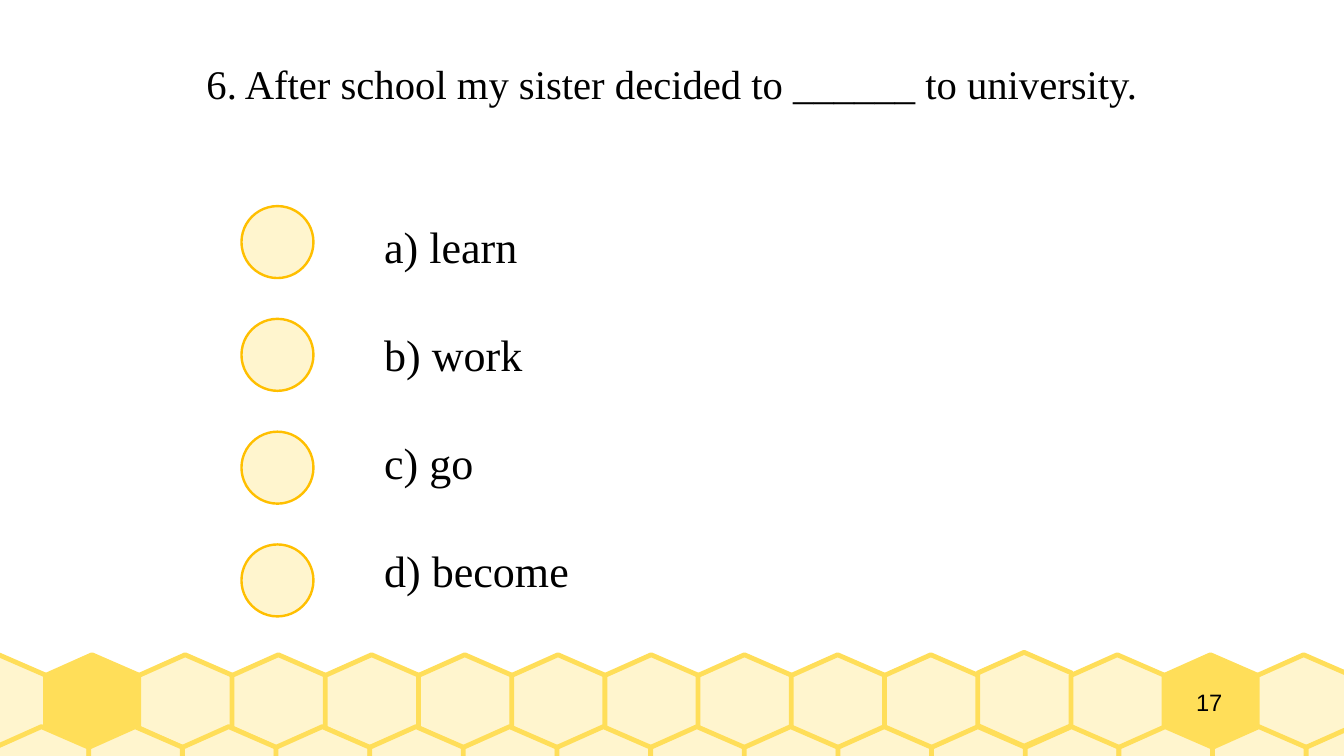
from pptx import Presentation
from pptx.dml.color import RGBColor
from pptx.enum import shapes, text
from pptx.util import Inches, Pt

PALE, GOLD, AMBER, BLACK = "FFF5CE", "FFDE59", "FFBF00", "000000"
HEXAGON = [(0.38, 0), (0, 0.17), (0, 0.6), (0.38, 0.77), (0.77, 0.6), (0.77, 0.17)]
HEXAGONS_PER_ROW = 15

presentation = Presentation()
presentation.slide_width = Inches(11.02)
presentation.slide_height = Inches(6.2)
slide = presentation.slides.add_slide(presentation.slide_layouts[6])


def paint(shape, fill, line, width):
    shape.shadow.inherit = False
    shape.fill.solid()
    shape.fill.fore_color.rgb = RGBColor.from_string(fill)
    shape.line.color.rgb = RGBColor.from_string(line)
    shape.line.width = Pt(width)


def add_text(box, lines, font, size, align, anchor, gap=0):
    """Put lines in a text box without margins, gap points apart."""
    frame = slide.shapes.add_textbox(*map(Inches, box)).text_frame
    frame.word_wrap = True
    frame.vertical_anchor = anchor
    frame.margin_left = frame.margin_right = frame.margin_top = frame.margin_bottom = 0
    frame.text = "\n".join(lines)
    for paragraph in frame.paragraphs:
        paragraph.alignment = align
        paragraph.space_after = Pt(gap)
        paragraph.font.name = font
        paragraph.font.size = Pt(size)
        paragraph.font.color.rgb = RGBColor.from_string(BLACK)


# Honeycomb: first left edge, top, pitch, solid cells, raised cells
for left, top, pitch, solid, raised in [
    (-0.39, 5.37, 10.7 / 14, (1, 13), (11,)),
    (-0.04, 5.96, 10.75 / 14, (), ()),
]:
    for index in range(HEXAGONS_PER_ROW):
        x = left + index * pitch
        y = top - 0.02 if index in raised else top
        corners = [(Inches(x + dx), Inches(y + dy)) for dx, dy in HEXAGON]
        builder = slide.shapes.build_freeform(*corners[0])
        builder.add_line_segments(corners[1:], close=True)
        paint(builder.convert_to_shape(), GOLD if index in solid else PALE, GOLD, 2.83)

add_text((9.29, 5.37, 1.25, 0.77), ["17"], "Arial", 14,
         text.PP_ALIGN.CENTER, text.MSO_ANCHOR.MIDDLE)

# Question and answers
add_text((0.59, 0.18, 9.84, 1.01),
         ["6. After school my sister decided to ______ to university."],
         "Times New Roman", 24, text.PP_ALIGN.CENTER, text.MSO_ANCHOR.MIDDLE)

answers = ["a) learn", "b) work", "c) go", "d) become"]
add_text((3.15, 1.8, 7.48, 3.15), answers, "Times New Roman", 26,
         text.PP_ALIGN.LEFT, text.MSO_ANCHOR.TOP, gap=32.5)

for index in range(len(answers)):
    circle = slide.shapes.add_shape(
        shapes.MSO_SHAPE.OVAL, Inches(1.98), Inches(1.69 + index * 0.925),
        Inches(0.59), Inches(0.59))
    paint(circle, PALE, AMBER, 1.42)

presentation.save("out.pptx")
